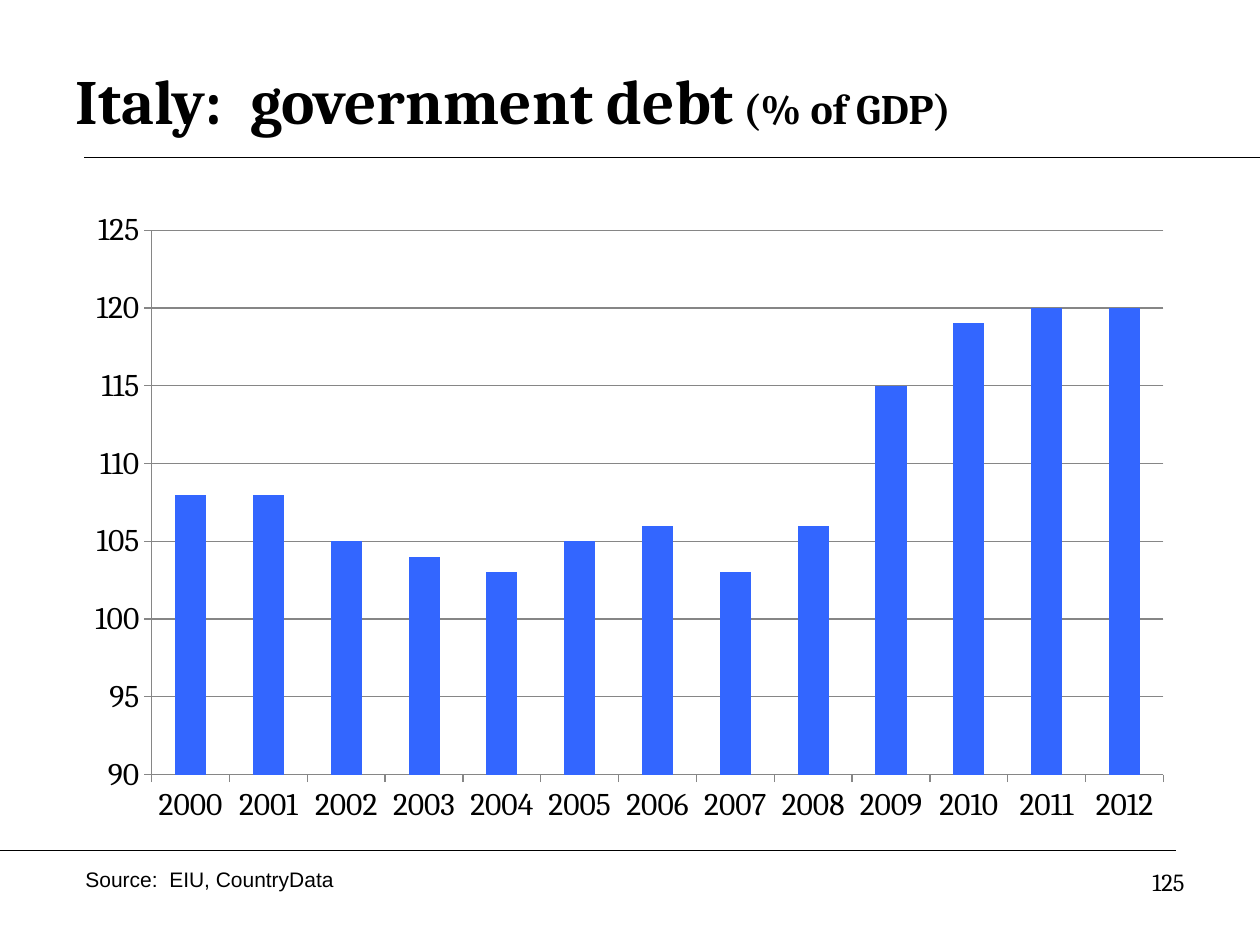
from dataclasses import dataclass

from lxml import etree
from pptx import Presentation
from pptx.chart.data import CategoryChartData
from pptx.dml.color import RGBColor
from pptx.enum.chart import XL_CHART_TYPE, XL_TICK_MARK
from pptx.enum.shapes import MSO_CONNECTOR
from pptx.enum.text import MSO_ANCHOR, PP_ALIGN
from pptx.oxml.ns import qn
from pptx.util import Inches, Pt

COLUMNS = XL_CHART_TYPE.COLUMN_CLUSTERED
TICK_OUTSIDE = XL_TICK_MARK.OUTSIDE
STRAIGHT = MSO_CONNECTOR.STRAIGHT
MIDDLE = MSO_ANCHOR.MIDDLE
LEFT = PP_ALIGN.LEFT
RIGHT = PP_ALIGN.RIGHT

BLACK = "000000"
GRAY = "868686"
BLUE = "3366FF"
SERIF = "Cambria"
SANS = "Arial"

FIRST_YEAR = 2000
DEBT = (108, 108, 105, 104, 103, 105, 106, 103, 106, 115, 119, 120, 120)


@dataclass(frozen=True)
class Rule:
    start: float
    end: float
    height: float


@dataclass(frozen=True)
class Span:
    text: str
    size: int
    font: str = SERIF
    bold: bool = False


@dataclass(frozen=True)
class Note:
    left: float
    top: float
    width: float
    height: float
    span: Span
    align: PP_ALIGN


RULES = (Rule(0.67, 10, 1.25), Rule(0, 9.33, 6.75))
TITLE = (
    Span("Italy:  government debt", 36, bold=True),
    Span(" (% of GDP)", 24, bold=True),
)
NOTES = (
    Note(7.17, 6.83, 2.33, 0.52, Span("125", 14), RIGHT),
    Note(0.58, 6.83, 4.83, 0.3, Span("Source:  EIU, CountryData", 12, SANS), LEFT),
)


def color(value: str) -> RGBColor:
    return RGBColor.from_string(value)


def add_span(para, span: Span) -> None:
    run = para.add_run()
    run.text = span.text
    run.font.name = span.font
    run.font.size = Pt(span.size)
    run.font.bold = span.bold
    run.font.color.rgb = color(BLACK)


def add_rule(page, rule: Rule) -> None:
    height = Inches(rule.height)
    line = page.shapes.add_connector(
        STRAIGHT, Inches(rule.start), height, Inches(rule.end), height
    )
    line.line.color.rgb = color(BLACK)
    line.line.width = Pt(0.75)
    etree.SubElement(line._element.spPr, qn("a:effectLst"))


def fill_title(page) -> None:
    title = page.shapes.title
    title.left, title.top = Inches(0.5), Inches(0.33)
    title.width, title.height = Inches(9), Inches(0.92)
    frame = title.text_frame
    frame.vertical_anchor = MIDDLE
    frame.word_wrap = True
    para = frame.paragraphs[0]
    para.alignment = LEFT
    for span in TITLE:
        add_span(para, span)


def add_note(page, note: Note) -> None:
    box = page.shapes.add_textbox(
        Inches(note.left), Inches(note.top), Inches(note.width), Inches(note.height)
    )
    box.text_frame.word_wrap = True
    para = box.text_frame.paragraphs[0]
    para.alignment = note.align
    add_span(para, note.span)


def add_debt_chart(page) -> None:
    data = CategoryChartData()
    data.categories = [str(FIRST_YEAR + index) for index in range(len(DEBT))]
    data.add_series("Series 1", DEBT)
    chart = page.shapes.add_chart(
        COLUMNS, Inches(0.58), Inches(1.58), Inches(8.83), Inches(5.06), data
    ).chart
    chart.has_legend = False
    chart.has_title = False
    chart.font.name = SERIF
    chart.font.size = Pt(18)
    chart.font.color.rgb = color(BLACK)

    plot = chart.plots[0]
    plot.vary_by_categories = False
    plot.gap_width = 150
    bars = plot.series[0].format.fill
    bars.solid()
    bars.fore_color.rgb = color(BLUE)

    values = chart.value_axis
    values.minimum_scale = 90
    values.maximum_scale = 125
    values.major_unit = 5
    values.has_major_gridlines = True
    for axis in (chart.category_axis, values):
        axis.major_tick_mark = TICK_OUTSIDE
    for part in (chart.category_axis, values, values.major_gridlines):
        part.format.line.color.rgb = color(GRAY)
        part.format.line.width = Pt(0.75)


def main() -> None:
    deck = Presentation()
    deck.slide_width, deck.slide_height = Inches(10), Inches(7.5)
    page = deck.slides.add_slide(deck.slide_layouts.get_by_name("Title Only"))
    for rule in RULES:
        add_rule(page, rule)
    fill_title(page)
    for note in NOTES:
        add_note(page, note)
    add_debt_chart(page)
    deck.save("out.pptx")


if __name__ == "__main__":
    main()
